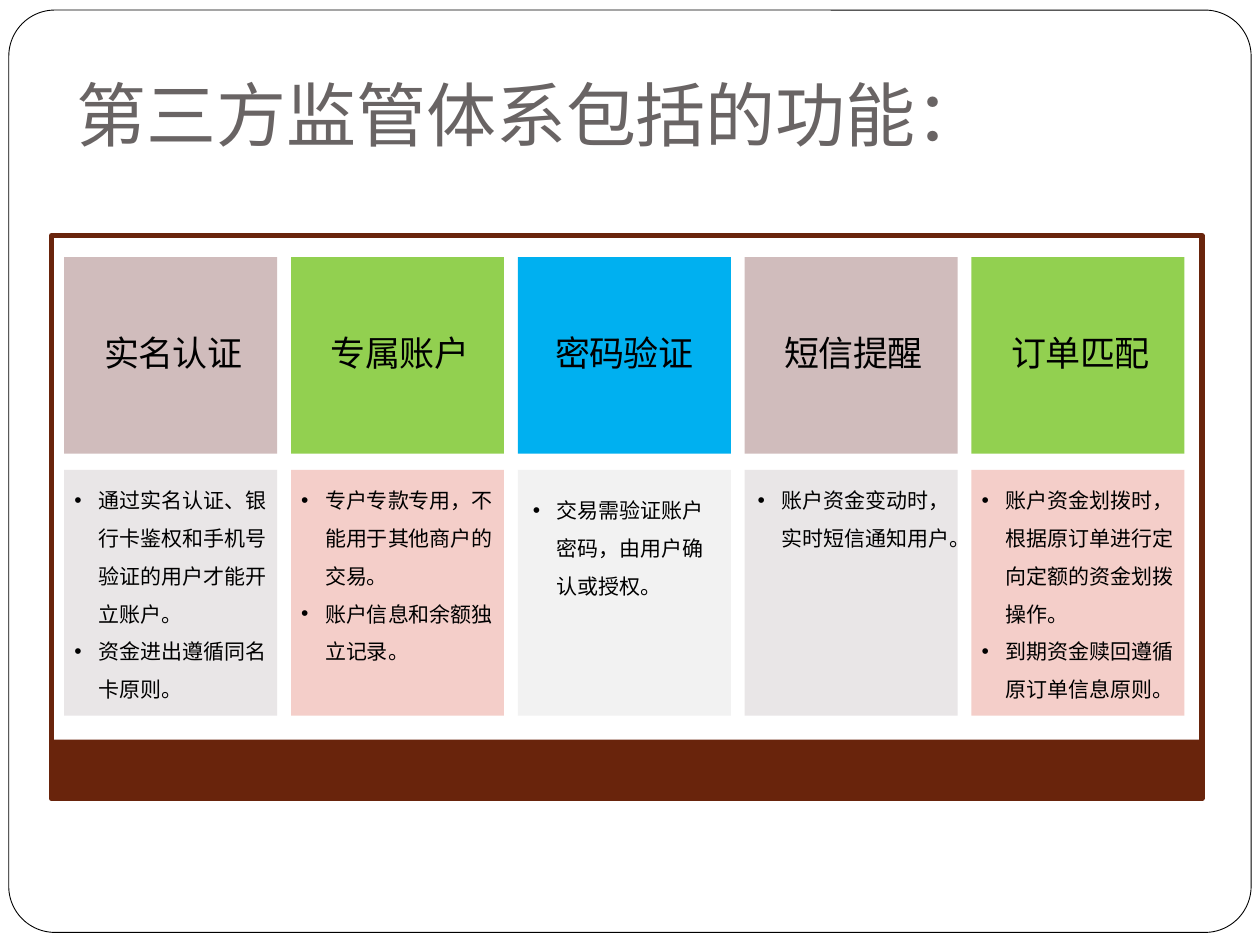
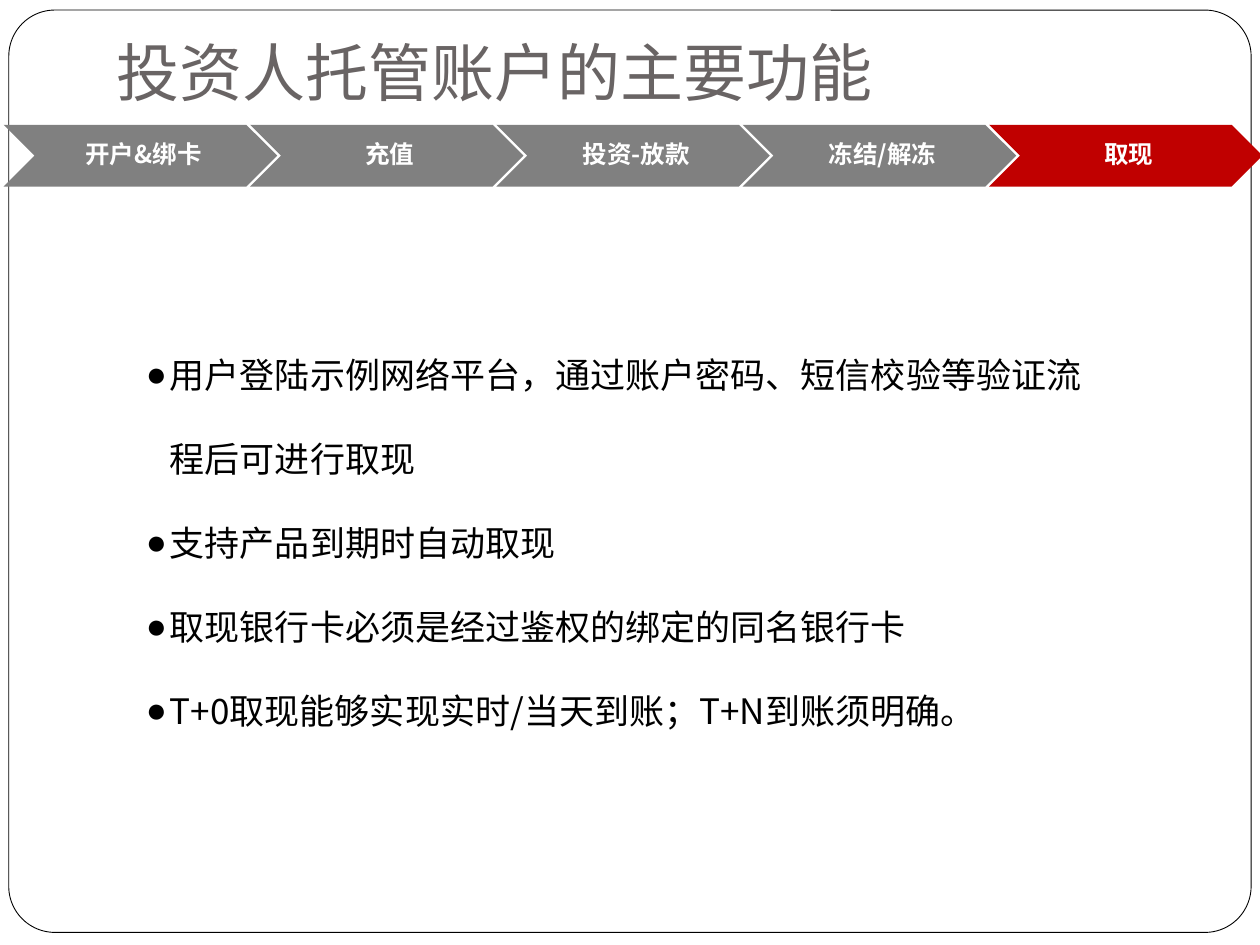
from dataclasses import dataclass

from pptx import Presentation
from pptx.dml.color import RGBColor
from pptx.enum.shapes import MSO_SHAPE as Shape
from pptx.enum.text import MSO_ANCHOR as Anchor, MSO_AUTO_SIZE as AutoSize, PP_ALIGN as Align
from pptx.oxml.ns import qn
from pptx.util import Inches, Pt

CJK_FONT = "Noto Sans CJK SC"
TITLE_FONT = "Karla"
BLACK, WHITE, TITLE_GREY = "000000", "FFFFFF", "696464"
BROWN, STEP_GREY, STEP_RED = "69240C", "808080", "C00000"
MAUVE, GREEN, BLUE = "D0BCBC", "92D050", "00B0F0"
PALE_MAUVE, PALE_RED, PALE_GREY = "E9E6E7", "F4CEC9", "F2F2F2"

TIGHT = (0.08, 0.04, 0.04, 0.08)
ROOMY = (0.12, 0.12, 0.12, 0.17)
STEP_INSETS = (0.06, 0.02, 0.02, 0.02)
INDENT = 0.19


@dataclass(frozen=True)
class Box:
    """Position and size in inches."""
    left: float
    top: float
    width: float
    height: float

    def emu(self) -> tuple:
        """Return the four lengths for python-pptx."""
        return tuple(Inches(v) for v in (self.left, self.top, self.width, self.height))


@dataclass(frozen=True)
class TextStyle:
    """Look of a paragraph and its run."""
    size: float
    color: str = BLACK
    font: str = CJK_FONT
    bold: bool = False
    tracking: int = 0
    align: Align = Align.LEFT
    line_spacing: float = 1.0
    space_after: float = 0
    bullet: str = ""


@dataclass(frozen=True)
class Feature:
    """One column of the feature grid."""
    heading: str
    points: tuple
    color: str
    pale: str
    insets: tuple = TIGHT
    align: Align = Align.LEFT


FEATURES = (
    Feature("实名认证", ("通过实名认证、银行卡鉴权和手机号验证的用户才能开立账户。",
                     "资金进出遵循同名卡原则。"), MAUVE, PALE_MAUVE),
    Feature("专属账户", ("专户专款专用，不能用于其他商户的交易。",
                     "账户信息和余额独立记录。"), GREEN, PALE_RED),
    Feature("密码验证", ("交易需验证账户密码，由用户确认或授权。",), BLUE, PALE_GREY, ROOMY),
    Feature("短信提醒", ("账户资金变动时，实时短信通知用户。",), MAUVE, PALE_MAUVE,
            align=Align.CENTER),
    Feature("订单匹配", ("账户资金划拨时，根据原订单进行定向定额的资金划拨操作。",
                     "到期资金赎回遵循原订单信息原则。"), GREEN, PALE_RED),
)
STEPS = ("开户&绑卡", "充值", "投资-放款", "冻结/解冻", "取现")
WITHDRAWAL_POINTS = (
    "用户登陆示例网络平台，通过账户密码、短信校验等验证流程后可进行取现",
    "支持产品到期时自动取现",
    "取现银行卡必须是经过鉴权的绑定的同名银行卡",
    "T+0取现能够实现实时/当天到账；T+N到账须明确。",
)

HEADING = TextStyle(20, tracking=-40, align=Align.CENTER)
STEP = TextStyle(14, WHITE, bold=True, align=Align.CENTER, line_spacing=0.9, space_after=5)
WITHDRAWAL = TextStyle(20, line_spacing=2.0, bullet="●")


def rgb(color: str) -> RGBColor:
    """Turn a hex string into a colour."""
    return RGBColor.from_string(color)


def add_block(s, kind: Shape, box: Box, fill: str = "", line: str = "", weight: float = 0):
    """Add a preset shape without shadow."""
    sp = s.shapes.add_shape(kind, *box.emu())
    sp.shadow.inherit = False
    if fill:
        sp.fill.solid()
        sp.fill.fore_color.rgb = rgb(fill)
    else:
        sp.fill.background()
    if line:
        sp.line.color.rgb = rgb(line)
        sp.line.width = Pt(weight)
    else:
        sp.line.fill.background()
    return sp


def add_bullet(p, char: str) -> None:
    """Give a paragraph a hanging bullet."""
    pPr = p._p.get_or_add_pPr()
    pPr.set("marL", str(Inches(INDENT)))
    pPr.set("indent", str(-Inches(INDENT)))
    font = pPr.makeelement(qn("a:buFont"), {"typeface": "Arial"})
    mark = pPr.makeelement(qn("a:buChar"), {"char": char})
    pPr.extend((font, mark))


def write(sp, texts: tuple, style: TextStyle, insets: tuple = (0.1, 0.05, 0.1, 0.05),
          anchor: Anchor = Anchor.TOP) -> None:
    """Fill a shape with one styled paragraph per text."""
    tf = sp.text_frame
    tf.word_wrap = True
    tf.vertical_anchor = anchor
    tf.margin_left, tf.margin_top, tf.margin_right, tf.margin_bottom = map(Inches, insets)
    for i, text in enumerate(texts):
        p = tf.add_paragraph() if i else tf.paragraphs[0]
        p.alignment = style.align
        p.line_spacing = style.line_spacing
        p.space_after = Pt(style.space_after)
        if style.bullet:
            add_bullet(p, style.bullet)
        r = p.add_run()
        r.text = text
        r.font.size = Pt(style.size)
        r.font.bold = style.bold
        r.font.name = style.font
        r.font.color.rgb = rgb(style.color)
        rPr = r.font._element
        rPr.find(qn("a:latin")).addnext(rPr.makeelement(qn("a:ea"), {"typeface": CJK_FONT}))
        if style.tracking:
            rPr.set("spc", str(style.tracking))


def add_text(s, box: Box, texts: tuple, style: TextStyle, **layout):
    """Add a text box."""
    sp = s.shapes.add_textbox(*box.emu())
    write(sp, texts, style, **layout)
    return sp


def new_slide(prs):
    """Add a blank slide with the rounded page frame."""
    s = prs.slides.add_slide(prs.slide_layouts[6])
    frame = add_block(s, Shape.ROUNDED_RECTANGLE, Box(0.07, 0.08, 9.86, 7.32), WHITE, BLACK, 0.5)
    frame.adjustments[0] = 0.05
    return s


def add_title(s, left: float, top: float, text: str, size: float) -> None:
    """Add the slide title."""
    add_text(s, Box(left, top, 8.5, 1.25), (text,), TextStyle(size, TITLE_GREY, TITLE_FONT))


def build_features(prs) -> None:
    """Build the five-column feature slide."""
    s = new_slide(prs)
    for i, feature in enumerate(FEATURES):
        left = 0.51 + 1.8 * i
        head = add_block(s, Shape.RECTANGLE, Box(left, 2.04, 1.69, 1.56), feature.color)
        write(head, (feature.heading,), HEADING, feature.insets, Anchor.MIDDLE)
        body = add_block(s, Shape.RECTANGLE, Box(left, 3.73, 1.69, 1.95), feature.pale)
        style = TextStyle(12, align=feature.align, line_spacing=1.5, bullet="•")
        write(body, feature.points, style, feature.insets)
    add_block(s, Shape.RECTANGLE, Box(0.41, 5.87, 9.13, 0.48), BROWN)
    add_block(s, Shape.RECTANGLE, Box(0.41, 1.87, 9.13, 4.47), line=BROWN, weight=3)
    add_title(s, 0.51, 0.52, "第三方监管体系包括的功能：", 40)


def build_withdrawal(prs) -> None:
    """Build the withdrawal slide with its step band."""
    s = new_slide(prs)
    body = add_text(s, Box(1.06, 2.42, 7.64, 3.47), WITHDRAWAL_POINTS, WITHDRAWAL)
    body.text_frame.auto_size = AutoSize.SHAPE_TO_FIT_TEXT
    pitch = (7.85 - 0.03) / (len(STEPS) - 1)
    for i, step in enumerate(STEPS):
        left = 0.03 + pitch * i
        color = STEP_RED if step == "取现" else STEP_GREY
        add_block(s, Shape.CHEVRON, Box(left, 0.99, 2.17, 0.49), color)
        add_text(s, Box(left + 0.25, 0.99, 1.68, 0.49), (step,), STEP,
                 insets=STEP_INSETS, anchor=Anchor.MIDDLE)
    add_title(s, 0.83, 0.22, "投资人托管账户的主要功能", 36)


def main() -> None:
    """Build and save the presentation."""
    prs = Presentation()
    prs.slide_width, prs.slide_height = Inches(10), Inches(7.5)
    build_features(prs)
    build_withdrawal(prs)
    prs.save("out.pptx")


if __name__ == "__main__":
    main()
